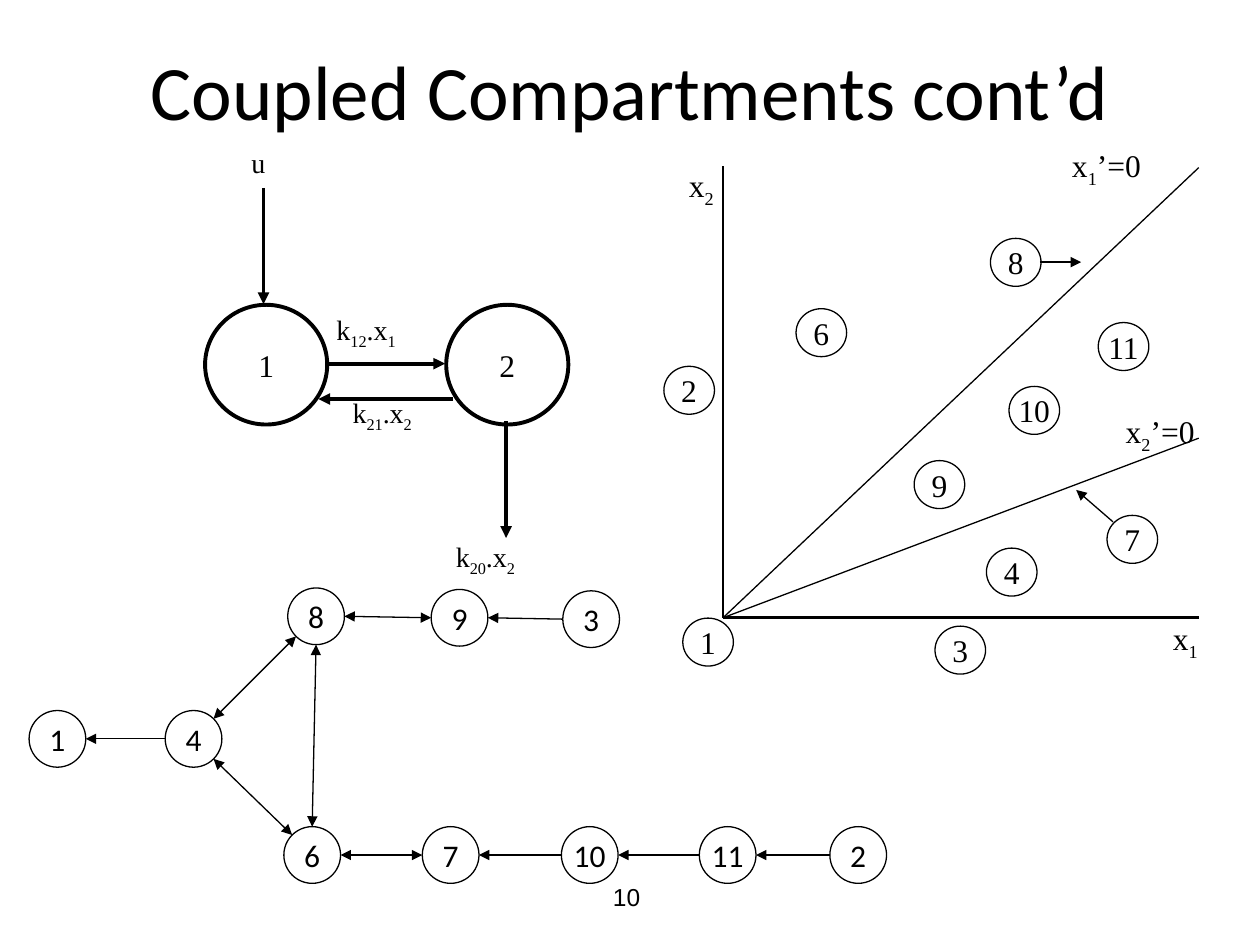
from math import cos, radians, sin
from typing import NamedTuple

from lxml import etree
from pptx import Presentation
from pptx.dml.color import RGBColor
from pptx.enum import shapes as kinds, text as txt
from pptx.oxml import ns
from pptx.util import Pt

BLACK = "000000"
SERIF, SANS = "Times New Roman", "Calibri"
PHASE_W, PHASE_H, NODE = 28.9, 27.4, 32.4


class Node(NamedTuple):
    text: str
    left: float
    top: float


class Label(NamedTuple):
    """Parts between underscores are set as subscripts."""
    text: str
    left: float
    top: float
    width: float
    height: float
    size: float
    wrap: bool = False


class Line(NamedTuple):
    x1: float
    y1: float
    x2: float
    y2: float
    weight: float = 0.75
    head: bool = False
    tail: bool = False


class Edge(NamedTuple):
    """Joins two nodes at the given angles, clockwise from the right."""
    start: str
    angle: float
    end: str
    turn: float
    both: bool = False


def color(code: str) -> RGBColor:
    return RGBColor.from_string(code)


def style(run, face: str, size: float) -> None:
    run.font.name = face
    run.font.size = Pt(size)
    run.font.color.rgb = color(BLACK)


def draw_node(slide, node: Node, width: float, height: float,
              face: str, weight: float = 0.75) -> None:
    oval = slide.shapes.add_shape(
        kinds.MSO_SHAPE.OVAL, Pt(node.left), Pt(node.top), Pt(width), Pt(height))
    oval.shadow.inherit = False
    oval.fill.background()
    oval.line.color.rgb = color(BLACK)
    oval.line.width = Pt(weight)
    frame = oval.text_frame
    frame.text = node.text
    frame.word_wrap = False
    frame.vertical_anchor = txt.MSO_ANCHOR.MIDDLE
    para = frame.paragraphs[0]
    para.alignment = txt.PP_ALIGN.CENTER
    style(para.runs[0], face, 18)


def draw_label(slide, label: Label, face: str = SERIF, align=None) -> None:
    box = slide.shapes.add_textbox(
        Pt(label.left), Pt(label.top), Pt(label.width), Pt(label.height))
    box.text_frame.word_wrap = label.wrap
    para = box.text_frame.paragraphs[0]
    para.alignment = align
    for i, part in enumerate(label.text.split("_")):
        if part:
            run = para.add_run()
            run.text = part
            style(run, face, label.size)
            if i % 2:
                run.font._element.set("baseline", "-25000")


def draw_line(slide, line: Line) -> None:
    link = slide.shapes.add_connector(
        kinds.MSO_CONNECTOR.STRAIGHT,
        Pt(line.x1), Pt(line.y1), Pt(line.x2), Pt(line.y2))
    link.line.color.rgb = color(BLACK)
    link.line.width = Pt(line.weight)
    stroke = link.line._get_or_add_ln()
    for tag, wanted in (("a:headEnd", line.head), ("a:tailEnd", line.tail)):
        if wanted:
            etree.SubElement(stroke, ns.qn(tag), type="triangle")
    etree.SubElement(link._element.spPr, ns.qn("a:effectLst"))


def rim(node: Node, angle: float) -> tuple[float, float]:
    """Point on the edge of a graph node."""
    r, turn = NODE / 2, radians(angle)
    return node.left + r + r * cos(turn), node.top + r + r * sin(turn)


def draw_edge(slide, edge: Edge, nodes: dict[str, Node]) -> None:
    start = rim(nodes[edge.start], edge.angle)
    end = rim(nodes[edge.end], edge.turn)
    draw_line(slide, Line(*start, *end, head=edge.both, tail=True))


ORIGIN = (413.2, 353)
PHASE_LINES = [
    Line(413.2, 95, *ORIGIN, 1.5),
    Line(685, 353, *ORIGIN, 1.5),
    Line(*ORIGIN, 685, 95.8),
    Line(*ORIGIN, 685, 250.4),
    Line(594.2, 149.8, 617.8, 149.8, tail=True),
    Line(636, 298.2, 615, 280, tail=True),
]
PHASE_NODES = [
    Node("2", 379.4, 209.3), Node("4", 563.7, 313.2), Node("8", 566, 136.2),
    Node("6", 454.9, 176.4), Node("1", 390.2, 353.2), Node("3", 534.3, 357.8),
    Node("9", 522.4, 263.2), Node("10", 576.6, 220.8), Node("11", 627.6, 184.3),
    Node("7", 632.6, 294.5),
]
PHASE_LABELS = [
    Label("x_1_", 663.1, 350, 29.5, 29, 18),
    Label("x_2_", 386.6, 91.4, 29.5, 29, 18),
    Label("x_1_’=0", 605.5, 79.9, 81.4, 29, 18, True),
    Label("x_2_’=0", 636.2, 231.8, 57.6, 29, 18, True),
]

GRAPH_NODES = [
    Node("1", 16.6, 406), Node("4", 94.4, 406),
    Node("8", 164.4, 336), Node("9", 246.4, 336.8), Node("3", 321.6, 337.6),
    Node("6", 162.2, 472.4), Node("7", 241.3, 472.4), Node("10", 320.8, 472.4),
    Node("11", 399.6, 472.4), Node("2", 474.2, 472.4),
]
RIGHT, DOWN, LEFT, UP = 0, 90, 180, 270
EDGES = [
    Edge("4", 315, "8", 135, True), Edge("4", 45, "6", 225, True),
    Edge("6", UP, "8", DOWN, True), Edge("8", RIGHT, "9", LEFT, True),
    Edge("6", RIGHT, "7", LEFT, True), Edge("3", LEFT, "9", RIGHT),
    Edge("10", LEFT, "7", RIGHT), Edge("11", LEFT, "10", RIGHT),
    Edge("2", LEFT, "11", RIGHT), Edge("4", LEFT, "1", RIGHT),
]

TANKS = [Node("1", 117.2, 174.2), Node("2", 255, 174.2)]
FLOWS = [
    Line(186, 207.8, 254.3, 207.8, 2.25, tail=True),
    Line(150.6, 107.3, 150.6, 173.8, 2.25, tail=True),
    Line(289.2, 240.8, 289.2, 307.4, 2.25, tail=True),
    Line(259, 228, 182, 228, 2.25, tail=True),
]
FLOW_LABELS = [
    Label("u", 136.6, 79.9, 22.3, 26.6, 16),
    Label("k_12_.x_1_", 185.2, 175, 51.1, 26.6, 16),
    Label("k_20_.x_2_", 253.4, 304.6, 51.1, 26.6, 16),
    Label("k_21_.x_2_", 194.4, 222.5, 51.1, 26.6, 16),
]


def main() -> None:
    deck = Presentation()
    deck.slide_width, deck.slide_height = Pt(720), Pt(540)
    slide = deck.slides.add_slide(deck.slide_layouts[5])

    title = slide.shapes.title
    title.left, title.top, title.width, title.height = Pt(54), Pt(6), Pt(612), Pt(90)
    title.text_frame.text = "Coupled Compartments cont’d"
    title.text_frame.vertical_anchor = txt.MSO_ANCHOR.MIDDLE
    title.text_frame.paragraphs[0].alignment = txt.PP_ALIGN.CENTER
    style(title.text_frame.paragraphs[0].runs[0], SANS, 44)

    for line in PHASE_LINES + FLOWS:
        draw_line(slide, line)
    for node in PHASE_NODES:
        draw_node(slide, node, PHASE_W, PHASE_H, SERIF)
    for node in GRAPH_NODES:
        draw_node(slide, node, NODE, NODE, SANS)
    for node in TANKS:
        draw_node(slide, node, 69.8, 68.4, SERIF, 2.25)
    nodes = {node.text: node for node in GRAPH_NODES}
    for edge in EDGES:
        draw_edge(slide, edge, nodes)
    for label in PHASE_LABELS + FLOW_LABELS:
        draw_label(slide, label)
    draw_label(slide, Label("10 ", 285, 500.4, 150, 36, 14, True),
               "Arial", txt.PP_ALIGN.CENTER)

    deck.save("out.pptx")


if __name__ == "__main__":
    main()
